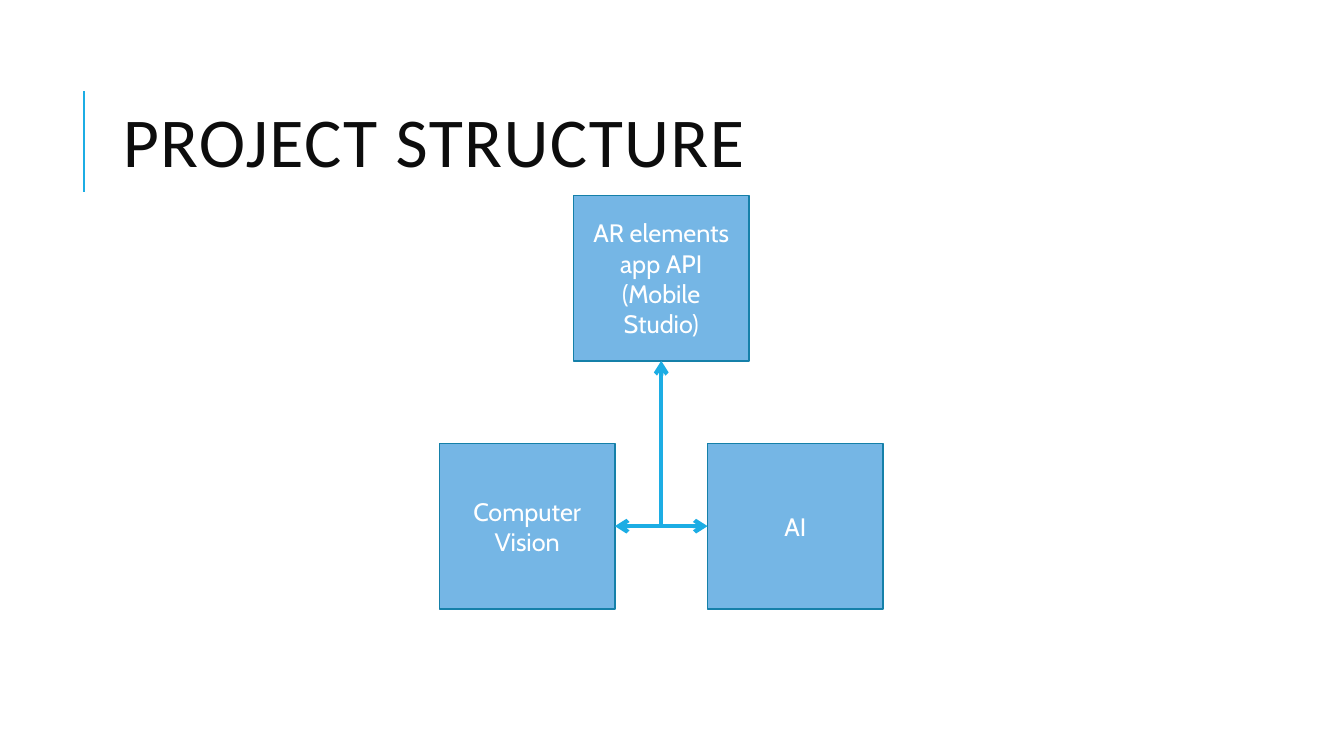
from dataclasses import dataclass
from pptx import Presentation
from pptx.dml.color import RGBColor as Rgb
from pptx.enum.shapes import MSO_CONNECTOR as Link, MSO_SHAPE as Shape
from pptx.enum.text import MSO_ANCHOR as Anchor, PP_ALIGN as Align
from pptx.oxml.ns import qn
from pptx.util import Pt

PX = 9144  # 100 px to the inch
TOP, LEFT, BOTTOM, RIGHT = range(4)


@dataclass(frozen=True)
class Theme:
    ink: str = "0D0D0D"
    white: str = "FFFFFF"
    fill: str = "75B6E5"
    edge: str = "1580A9"
    accent: str = "1CADE4"
    head: str = "Calibri"
    body: str = "Cabin"
    big: int = 50
    small: int = 18


def write(shape, text, *, font, size, color, align=Align.LEFT, lead=None, track=0):
    """Fill a shape with one paragraph per line; track is in points."""
    frame = shape.text_frame
    frame.word_wrap = True
    frame.vertical_anchor = Anchor.MIDDLE
    frame.text = text
    for para in frame.paragraphs:
        para.alignment = align
        para.line_spacing = lead
        for run in para.runs:
            run.font.name = font
            run.font.size = Pt(size)
            run.font.color.rgb = Rgb.from_string(color)
            if track:
                run.font._element.set("spc", str(track * 100))


class Canvas:
    def __init__(self, slide, theme):
        self.shapes = slide.shapes
        self.theme = theme

    def title(self, text, x, y, w, h):
        box = self.shapes.add_textbox(x * PX, y * PX, w * PX, h * PX)
        t = self.theme
        write(box, text, font=t.head, size=t.big, color=t.ink, lead=0.8, track=1)

    def box(self, text, x, y, w, h):
        t = self.theme
        rect = self.shapes.add_shape(Shape.RECTANGLE, x * PX, y * PX, w * PX, h * PX)
        rect.shadow.inherit = False
        rect.fill.solid()
        rect.fill.fore_color.rgb = Rgb.from_string(t.fill)
        rect.line.color.rgb = Rgb.from_string(t.edge)
        rect.line.width = Pt(1.25)
        write(rect, text, font=t.body, size=t.small, color=t.white, align=Align.CENTER)
        return rect

    def line(self, x1, y1, x2, y2, width, ends=()):
        """Draw a line with arrows at the named ends, headEnd and tailEnd."""
        link = self.shapes.add_connector(
            Link.STRAIGHT, x1 * PX, y1 * PX, x2 * PX, y2 * PX)
        link.line.color.rgb = Rgb.from_string(self.theme.accent)
        link.line.width = Pt(width)
        props = link._element.spPr
        for end in ends:
            props.ln.append(props.ln.makeelement(qn(f"a:{end}"), {"type": "arrow"}))
        props.append(props.makeelement(qn("a:effectLst"), {}))
        return link


def main():
    deck = Presentation()
    deck.slide_width, deck.slide_height = 12192000, 750 * PX
    page = Canvas(deck.slides.add_slide(deck.slide_layouts[6]), Theme())

    page.line(83, 190, 83, 90, 1.5)
    page.title("PROJECT STRUCTURE", 112, 64, 1063, 164)

    wide, high = 174, 164
    mid, gap = 656, 92
    upper, lower = 194, 440
    app = page.box("AR elements app API\n(Mobile Studio)",
                   mid - wide // 2, upper, wide, high)
    vision = page.box("Computer Vision", mid - gap // 2 - wide, lower, wide, high)
    brain = page.box("AI", mid + gap // 2, lower, wide, high)

    level = lower + high // 2
    across = page.line(mid - gap // 2, level, mid + gap // 2, level, 3,
                       ("headEnd", "tailEnd"))
    across.begin_connect(vision, RIGHT)
    across.end_connect(brain, LEFT)
    rise = page.line(mid, level, mid, upper + high, 3, ("tailEnd",))
    rise.end_connect(app, BOTTOM)

    deck.save("out.pptx")


if __name__ == "__main__":
    main()
